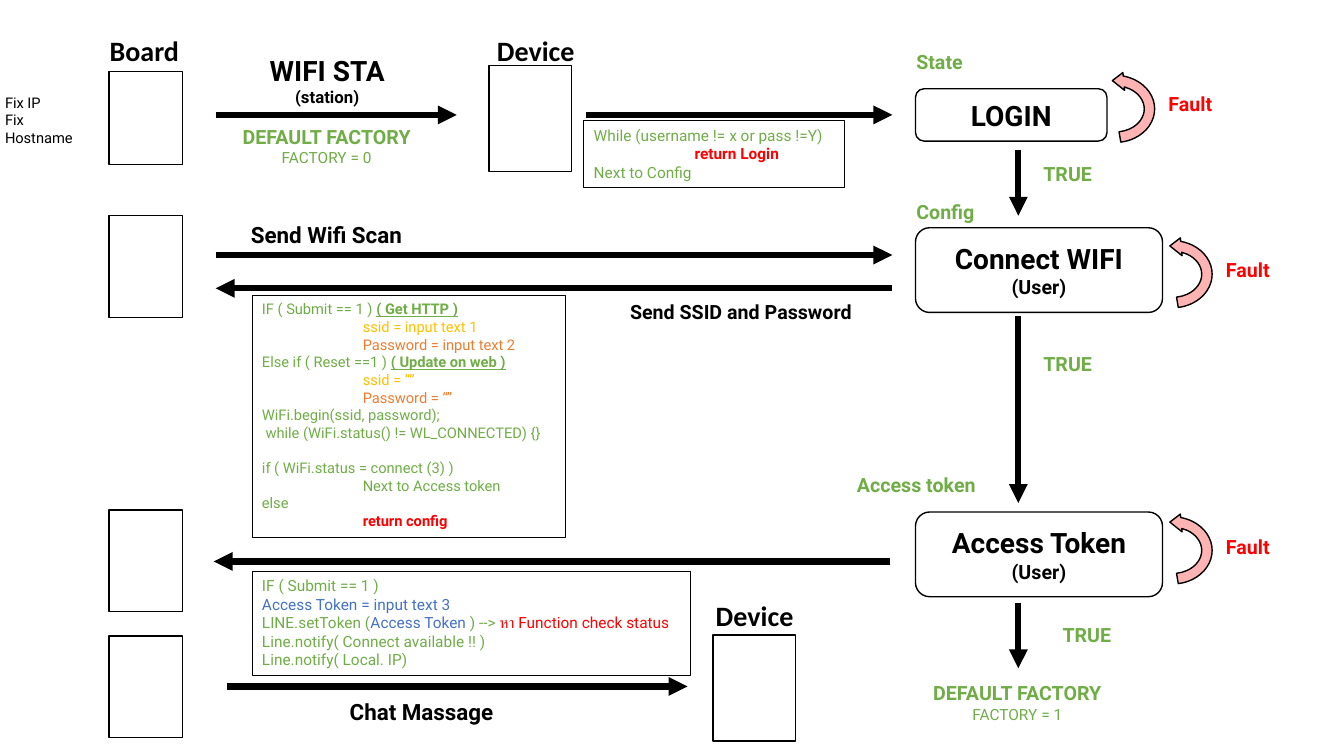
import pptx
import pptx.util
import pptx.dml.color
import pptx.enum.shapes
import pptx.enum.text
import pptx.oxml.ns
from lxml import etree

Inches = pptx.util.Inches
Pt = pptx.util.Pt
RGBColor = pptx.dml.color.RGBColor
MSO_SHAPE = pptx.enum.shapes.MSO_SHAPE
PP_ALIGN = pptx.enum.text.PP_ALIGN
MSO_ANCHOR = pptx.enum.text.MSO_ANCHOR
qn = pptx.oxml.ns.qn

BLACK = RGBColor(0x00, 0x00, 0x00)
WHITE = RGBColor(0xFF, 0xFF, 0xFF)
GREEN = RGBColor(0x70, 0xAD, 0x47)
RED = RGBColor(0xFF, 0x00, 0x00)
PINK = RGBColor(0xFF, 0xB3, 0xB3)
GOLD = RGBColor(0xFF, 0xC0, 0x00)
ORANGE = RGBColor(0xED, 0x7D, 0x31)
BLUE = RGBColor(0x44, 0x72, 0xC4)

prs = pptx.Presentation()
prs.slide_width = Inches(13.33)
prs.slide_height = Inches(7.5)
s = prs.slides.add_slide(prs.slide_layouts[6])


def add_text(tf, text, size=14, color=BLACK, bold=False, underline=False, font="Roboto",
             align=PP_ALIGN.LEFT, indent=0, before=0, same_line=False):
    p = tf.paragraphs[-1]
    if p.runs and not same_line:
        p = tf.add_paragraph()
    if not same_line:
        p.alignment = align
        p.space_before = Pt(before)
        if indent:
            p._p.get_or_add_pPr().set("marL", str(Inches(indent)))
    r = p.add_run()
    r.text = text
    r.font.size = Pt(size)
    r.font.name = font
    r.font.bold = bold
    r.font.underline = underline
    r.font.color.rgb = color


def add_box(kind, x, y, w, h, fill=WHITE, weight=1):
    sp = s.shapes.add_shape(kind, Inches(x), Inches(y), Inches(w), Inches(h))
    sp.shadow.inherit = False
    if fill is None:
        sp.fill.background()
    else:
        sp.fill.solid()
        sp.fill.fore_color.rgb = fill
    sp.line.color.rgb = BLACK
    sp.line.width = Pt(weight)
    return sp


# Boards on the left and devices
for x, y, w, h in [(1.08, 0.71, 0.73, 0.92), (1.08, 2.14, 0.73, 1.01), (1.08, 5.06, 0.73, 1.01),
                   (1.08, 6.31, 0.73, 1.01), (4.85, 0.65, 0.82, 1.05), (7.07, 6.3, 0.82, 1.05)]:
    add_box(MSO_SHAPE.RECTANGLE, x, y, w, h)

# State boxes
for y, w, h, title, role in [(0.88, 1.9, 0.52, "LOGIN", None),
                             (2.26, 2.45, 0.84, "Connect WIFI", "(User)"),
                             (5.08, 2.45, 0.84, "Access Token", "(User)")]:
    tf = add_box(MSO_SHAPE.ROUNDED_RECTANGLE, 9.08, y, w, h).text_frame
    add_text(tf, title, size=20, bold=True, align=PP_ALIGN.CENTER)
    if role:
        add_text(tf, role, size=14, bold=True, align=PP_ALIGN.CENTER)

# Fault loops
for x, y in [(10.69, 0.65), (11.26, 2.29), (11.26, 5.03)]:
    sp = add_box(MSO_SHAPE.CIRCULAR_ARROW, x, y, 0.74, 0.86, fill=PINK)
    sp.rotation = 90
    sp._element.spPr.find(qn("a:xfrm")).set("flipH", "1")
    for i, value in enumerate([0.14, 13.81, 205.45, 113.89, 0.12]):
        sp.adjustments[i] = value

# Arrows
for x1, y1, x2, y2 in [(2.14, 1.14, 4.53, 1.14), (5.81, 1.14, 8.85, 1.14),
                       (2.14, 2.53, 8.85, 2.53), (8.85, 2.86, 2.14, 2.86),
                       (8.83, 5.57, 2.12, 5.57), (2.25, 6.81, 6.82, 6.81),
                       (10.1, 1.49, 10.1, 2.14), (10.1, 3.14, 10.1, 4.99),
                       (10.1, 5.98, 10.1, 6.63)]:
    cn = s.shapes.add_connector(pptx.enum.shapes.MSO_CONNECTOR.STRAIGHT,
                                Inches(x1), Inches(y1), Inches(x2), Inches(y2))
    cn.line.color.rgb = BLACK
    cn.line.width = Pt(4.5)
    etree.SubElement(cn.line._get_or_add_ln(), qn("a:tailEnd"), type="triangle")
    etree.SubElement(cn._element.spPr, qn("a:effectLst"))

# Labels: position, then lines of text with their format
name = dict(size=20, bold=True, font="Calibri")
caption = dict(size=16, bold=True)
state = dict(color=GREEN, bold=True)
fault = dict(color=RED, bold=True)
centred = dict(align=PP_ALIGN.CENTER)
factory = dict(state, **centred)
value = dict(size=11, color=GREEN, **centred)
labels = [
    (0.99, 0.28, 0.9, 0.44, [("Board", name)]),
    (4.83, 0.28, 0.98, 0.44, [("Device", name)]),
    (7, 5.89, 0.98, 0.44, [("Device", name)]),
    (2.47, 0.48, 1.55, 0.64, [("WIFI STA", dict(size=20, bold=True, **centred)),
                              ("(station)", dict(size=12, bold=True, **centred))]),
    (2.2, 1.19, 2.08, 0.54, [("DEFAULT FACTORY", factory), ("FACTORY = 0", value)]),
    (9.05, 6.71, 2.08, 0.54, [("DEFAULT FACTORY", factory), ("FACTORY = 1", value)]),
    (2.39, 2.14, 1.89, 0.37, [("Send Wifi Scan", caption)]),
    (6.15, 2.93, 2.68, 0.34, [("Send SSID and Password", dict(bold=True))]),
    (3.37, 6.88, 1.72, 0.37, [("Chat Massage", caption)]),
    (8.99, 0.45, 0.73, 0.34, [("State", state)]),
    (8.99, 1.93, 0.84, 0.34, [("Config", state)]),
    (8.4, 4.64, 1.49, 0.34, [("Access token", state)]),
]
labels += [(x, y, 0.73, 0.34, [("TRUE", state)])
           for x, y in [(10.25, 1.56), (10.25, 3.44), (10.44, 6.13)]]
labels += [(x, y, 0.7, 0.34, [("Fault", fault)])
           for x, y in [(11.49, 0.86), (12.06, 2.51), (12.06, 5.26)]]
for x, y, w, h, lines in labels:
    tf = s.shapes.add_textbox(Inches(x), Inches(y), Inches(w), Inches(h)).text_frame
    tf.word_wrap = False
    for text, style in lines:
        add_text(tf, text, **style)

# Note on fixed settings
tf = s.shapes.add_textbox(0, Inches(0.88), Inches(1.03), Inches(0.45)).text_frame
tf.word_wrap = True
tf.margin_left = Inches(0.05)
for text in ["Fix IP", "Fix Hostname"]:
    add_text(tf, text, size=10.5)

# Code boxes
code = dict(color=GREEN)
call = dict(color=GREEN, bold=True, underline=True, same_line=True)
ssid = dict(color=GOLD, indent=1)
password = dict(color=ORANGE, indent=1)
back = dict(color=RED, bold=True, indent=1)
login_code = [
    ("While (username != x or pass !=Y)", code),
    ("return Login", back),
    ("Next to Config", code),
]
config_code = [
    ("IF ( Submit == 1 ) ", code), ("( Get HTTP )", call),
    ("ssid = input text 1", ssid),
    ("Password = input text 2", password),
    ("Else if ( Reset ==1 ) ", code), ("( Update on web )", call),
    ("ssid = “”", ssid),
    ("Password = “”", password),
    ("WiFi.begin(ssid, password);", code),
    (" while (WiFi.status() != WL_CONNECTED) {}", code),
    ("if ( WiFi.status = connect (3) )", dict(code, before=12.5)),
    ("Next to Access token", dict(code, indent=1)),
    ("else", code),
    ("return config", back),
]
token_code = [
    ("IF ( Submit == 1 )", code),
    ("Access Token = input text 3", dict(color=BLUE)),
    ("LINE.setToken (", code),
    ("Access Token ", dict(color=BLUE, same_line=True)),
    (") --> ", dict(color=GREEN, same_line=True)),
    ("หา Function check status", dict(color=RED, same_line=True)),
    ("Line.notify( Connect available !! )", code),
    ("Line.notify( Local. IP)", code),
]
for x, y, w, h, size, lines in [(5.79, 1.2, 2.59, 0.66, 11, login_code),
                                (2.5, 2.93, 3.11, 2.4, 10.5, config_code),
                                (2.5, 5.67, 4.35, 1.03, 11, token_code)]:
    tf = add_box(MSO_SHAPE.RECTANGLE, x, y, w, h, fill=None, weight=0.75).text_frame
    tf.vertical_anchor = MSO_ANCHOR.TOP
    tf.word_wrap = True
    for text, style in lines:
        add_text(tf, text, size=size, **style)

prs.save("out.pptx")
